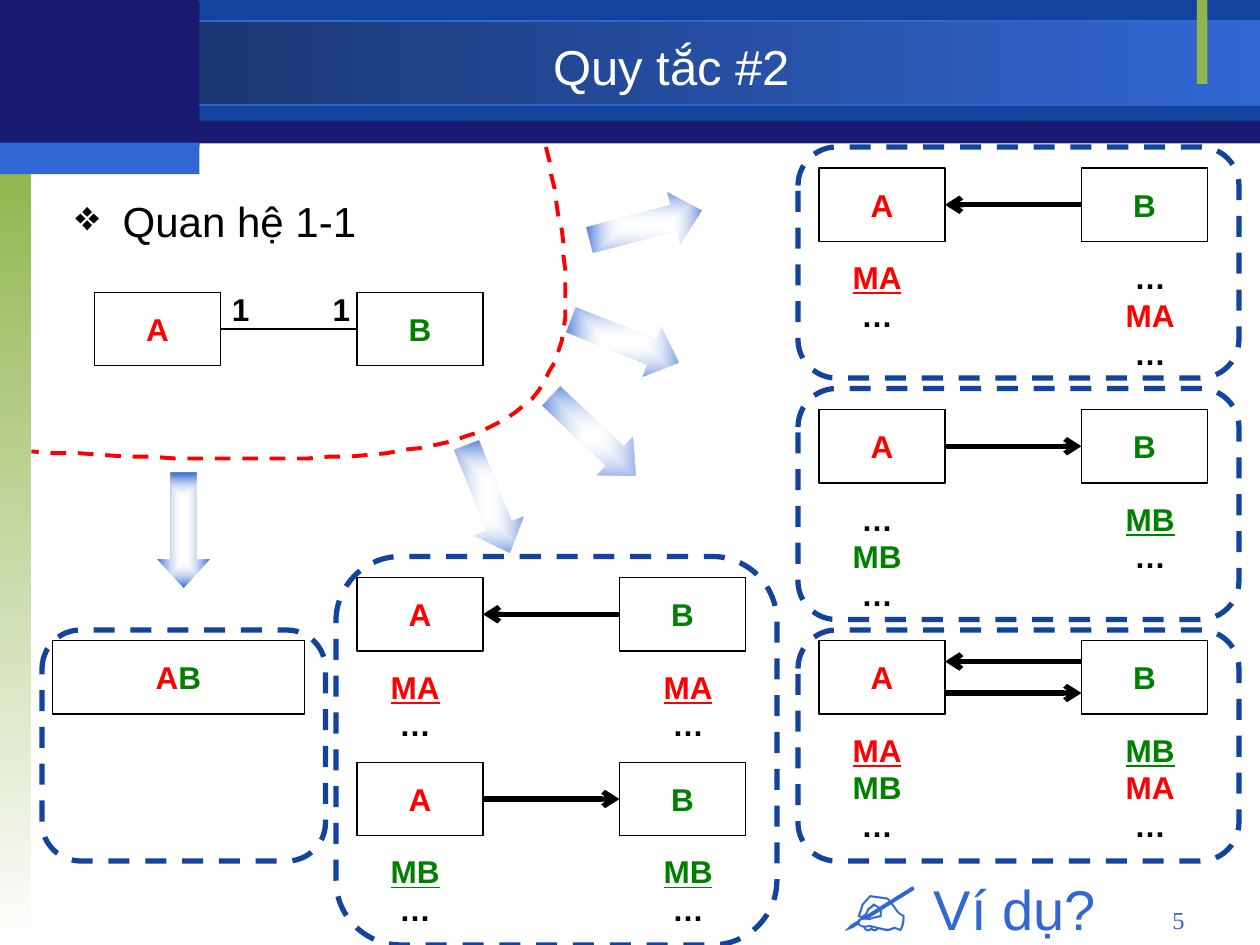
from lxml import etree
from pptx import Presentation
from pptx.dml.color import RGBColor
from pptx.enum import dml, shapes, text
from pptx.oxml.ns import qn
from pptx.util import Pt

NAVY = RGBColor(0x1A, 0x1A, 0x70)
BLUE = RGBColor(0x12, 0x44, 0x9E)
SKY = RGBColor(0x31, 0x67, 0xD3)
DEEP = RGBColor(0x16, 0x2F, 0x61)
LIME = RGBColor(0x90, 0xB5, 0x4D)
PALE = RGBColor(0xFE, 0xFE, 0xFE)
WHITE = RGBColor(0xFF, 0xFF, 0xFF)
BLACK = RGBColor(0, 0, 0)
RED = RGBColor(0xFF, 0, 0)
GREEN = RGBColor(0, 0x80, 0)

RECT = shapes.MSO_SHAPE.RECTANGLE
ENTITY_COLOURS = {"A": RED, "MA": RED, "B": GREEN, "MB": GREEN, "…": BLACK}
BOX_W, BOX_H, BOX_PITCH = 72, 42, 150
LINE_H = 21.6

# Left, top, width, height, fill (a pair is a gradient), gradient angle, outline
BANDS = [
    (0, 0.5, 720, 81.5, NAVY, 0, None),
    (114, 0, 606, 69, BLUE, 0, None),
    (0, 12, 720, 48, (SKY, DEEP), 180, SKY),
    (0, 90, 18, 450, (LIME, PALE), 270, None),
    (684, 0, 6, 48, LIME, 0, None),
    (0, 0, 114, 84, NAVY, 0, None),
    (0, 81.5, 114, 18, SKY, 0, None),
]
# Left and top of box A, fields of A, fields of B, arrows as (target, drop or None for mid-side)
RELATIONS = [
    (468, 96, ["MA", "…"], ["…", "MA", "…"], [("A", None)]),
    (468, 234, ["…", "MB", "…"], ["MB", "…"], [("B", None)]),
    (468, 366, ["MA", "MB", "…"], ["MB", "MA", "…"], [("A", 12), ("B", 30)]),
    (204, 330, ["MA", "…"], ["MA", "…"], [("A", None)]),
    (204, 435.6, ["MB", "…"], ["MB", "…"], [("B", None)]),
]
PANELS = [(456, 84, 252, 132), (456, 222, 252, 132), (456, 360, 252, 132),
          (192, 318, 252, 222), (24, 360, 162, 132)]
BLOCK_ARROWS = [(336, 114, 345.4), (324, 180, 21.3), (306, 234, 43.2),
                (72, 288, 90), (246, 270, 68.4)]
DIVIDER = [
    [(312, 84), (325, 147.5), (337, 211), (288, 240)],
    [(288, 240), (239, 269), (128, 263.5), (18, 258)],
]

deck = Presentation()
deck.slide_width, deck.slide_height = Pt(720), Pt(540)
page = deck.slides.add_slide(deck.slide_layouts[6])


def points(*lengths):
    return [Pt(length) for length in lengths]


def set_gradient(fill, colours, angle):
    fill.gradient()
    fill.gradient_angle = angle
    for stop, colour in zip(fill.gradient_stops, colours):
        stop.color.rgb = colour


def set_line(line, colour, width, dash=None):
    line.color.rgb = colour
    line.width = Pt(width)
    if dash:
        line.dash_style = dash


def add_preset(kind, left, top, width, height, fill=None, line=None):
    shape = page.shapes.add_shape(kind, *points(left, top, width, height))
    shape.shadow.inherit = False
    if fill is None:
        shape.fill.background()
    else:
        shape.fill.solid()
        shape.fill.fore_color.rgb = fill
    if line is None:
        shape.line.fill.background()
    else:
        set_line(shape.line, line, 0.75)
    return shape


def write(frame, paragraphs, align=text.PP_ALIGN.LEFT, spacing=None):
    """Fill a frame with paragraphs, each a list of (text, font format) runs."""
    for index, runs in enumerate(paragraphs):
        para = frame.paragraphs[0] if index == 0 else frame.add_paragraph()
        para.alignment = align
        if spacing:
            para.line_spacing = Pt(spacing)
        for content, style in runs:
            span = para.add_run()
            span.text = content
            for name, value in style.items():
                if name == "color":
                    span.font.color.rgb = value
                else:
                    setattr(span.font, name, value)


def font(size, colour, name="Arial", **extra):
    return {"size": Pt(size), "color": colour, "name": name, **extra}


def add_text(left, top, width, height, paragraphs, wrap=True, **layout):
    box = page.shapes.add_textbox(*points(left, top, width, height))
    box.text_frame.word_wrap = wrap
    if not wrap:
        box.text_frame.auto_size = text.MSO_AUTO_SIZE.SHAPE_TO_FIT_TEXT
    write(box.text_frame, paragraphs, **layout)
    return box


def add_entity(letters, left, top, width=BOX_W):
    box = add_preset(RECT, left, top, width, BOX_H, WHITE, BLACK)
    box.text_frame.word_wrap = False
    box.text_frame.vertical_anchor = text.MSO_ANCHOR.MIDDLE
    runs = [(letter, font(18, ENTITY_COLOURS[letter], bold=True)) for letter in letters]
    write(box.text_frame, [runs], text.PP_ALIGN.CENTER)
    return box


def add_fields(left, top, fields):
    """List an entity's fields; a key in the first row is underlined."""
    rows = [[(field, font(18, ENTITY_COLOURS[field], bold=True,
                          underline=row == 0 and field != "…"))]
            for row, field in enumerate(fields)]
    add_text(left, top, 42.5, LINE_H * len(rows) + 7.2, rows, wrap=False,
             align=text.PP_ALIGN.CENTER, spacing=LINE_H)


def add_link(box_a, box_b, target=None, drop=None, width=3):
    """Join two boxes at mid-side, or level at a drop below their tops."""
    start, end = (box_b, box_a) if target == "A" else (box_a, box_b)
    sides = (1, 3) if target == "A" else (3, 1)
    edges = [box.left + (box.width if side == 3 else 0)
             for box, side in zip((start, end), sides)]
    y = box_a.top + Pt(BOX_H / 2 if drop is None else drop)
    link = page.shapes.add_connector(shapes.MSO_CONNECTOR.STRAIGHT, edges[0], y, edges[1], y)
    if drop is None:
        link.begin_connect(start, sides[0])
        link.end_connect(end, sides[1])
    set_line(link.line, BLACK, width)
    if target:
        etree.SubElement(link.line._get_or_add_ln(), qn("a:tailEnd"), type="arrow")
    etree.SubElement(link._element.spPr, qn("a:effectLst"))


def add_block_arrow(left, top, rotation):
    arrow = add_preset(shapes.MSO_SHAPE.RIGHT_ARROW, left, top, 66, 30)
    arrow.rotation = rotation
    arrow.adjustments[0], arrow.adjustments[1] = 0.5, 0.55
    set_gradient(arrow.fill, (PALE, SKY), 0)
    gradient = arrow._element.spPr.find(qn("a:gradFill"))
    etree.SubElement(gradient.find(".//" + qn("a:srgbClr")), qn("a:alpha"), val="0")
    linear = gradient.find(qn("a:lin"))
    radial = etree.Element(qn("a:path"), {"path": "rect"})
    etree.SubElement(radial, qn("a:fillToRect"), dict.fromkeys("ltrb", "50000"))
    gradient.replace(linear, radial)


def bezier(nodes, t):
    weights = ((1 - t) ** 3, 3 * t * (1 - t) ** 2, 3 * t * t * (1 - t), t ** 3)
    return tuple(sum(w * node[axis] for w, node in zip(weights, nodes)) for axis in (0, 1))


set_gradient(page.background.fill, (WHITE, PALE), 270)
for left, top, width, height, fill, angle, line in BANDS:
    shaded = isinstance(fill, tuple) and not isinstance(fill, RGBColor)
    band = add_preset(RECT, left, top, width, height, None if shaded else fill, line)
    if shaded:
        set_gradient(band.fill, fill, angle)

title = add_text(114, 16.5, 540, 42, [[("Quy tắc #2", font(28, WHITE))]],
                 align=text.PP_ALIGN.CENTER)
title.text_frame.vertical_anchor = text.MSO_ANCHOR.MIDDLE

topic = add_text(36, 108, 234, 48, [[("Quan hệ 1-1", font(24, BLACK))]])
topic_para = topic.text_frame.paragraphs[0]
topic_para.space_before = Pt(6)
bullet = topic_para._p.get_or_add_pPr()
bullet.set("marL", str(Pt(27)))
bullet.set("indent", str(-Pt(27)))
etree.SubElement(bullet, qn("a:buChar"), char="❖")

add_link(add_entity("A", 54, 167), add_entity("B", 204, 167), width=0.75)
for left in (125.5, 183):
    add_text(left, 162, 24.5, 28.8, [[("1", font(18, BLACK, bold=True))]],
             wrap=False, spacing=LINE_H)

curve = [bezier(nodes, step / 24) for nodes in DIVIDER for step in range(25)]
builder = page.shapes.build_freeform(*curve[0], scale=Pt(1))
builder.add_line_segments(curve[1:], close=False)
divider = builder.convert_to_shape()
divider.shadow.inherit = False
divider.fill.background()
set_line(divider.line, RED, 2.25, dml.MSO_LINE.DASH)

for block in BLOCK_ARROWS:
    add_block_arrow(*block)

for left, top, fields_a, fields_b, arrows in RELATIONS:
    box_a = add_entity("A", left, top)
    box_b = add_entity("B", left + BOX_PITCH, top)
    add_fields(left + 12, top + 48, fields_a)
    add_fields(left + BOX_PITCH + 18, top + 48, fields_b)
    for target, drop in arrows:
        add_link(box_a, box_b, target, drop)
add_entity("AB", 30, 366, 144)

for place in PANELS:
    panel = add_preset(shapes.MSO_SHAPE.ROUNDED_RECTANGLE, *place)
    panel.adjustments[0] = 0.167
    set_line(panel.line, BLUE, 3, dml.MSO_LINE.DASH)

add_text(474, 480, 160.5, 65, [[("✍", font(48, SKY)), (" Ví dụ?", font(32, SKY))]], wrap=False)
add_text(516, 513.5, 168, 19.5, [[("5", font(14, SKY, "Times New Roman"))]],
         align=text.PP_ALIGN.RIGHT)

deck.save("out.pptx")
